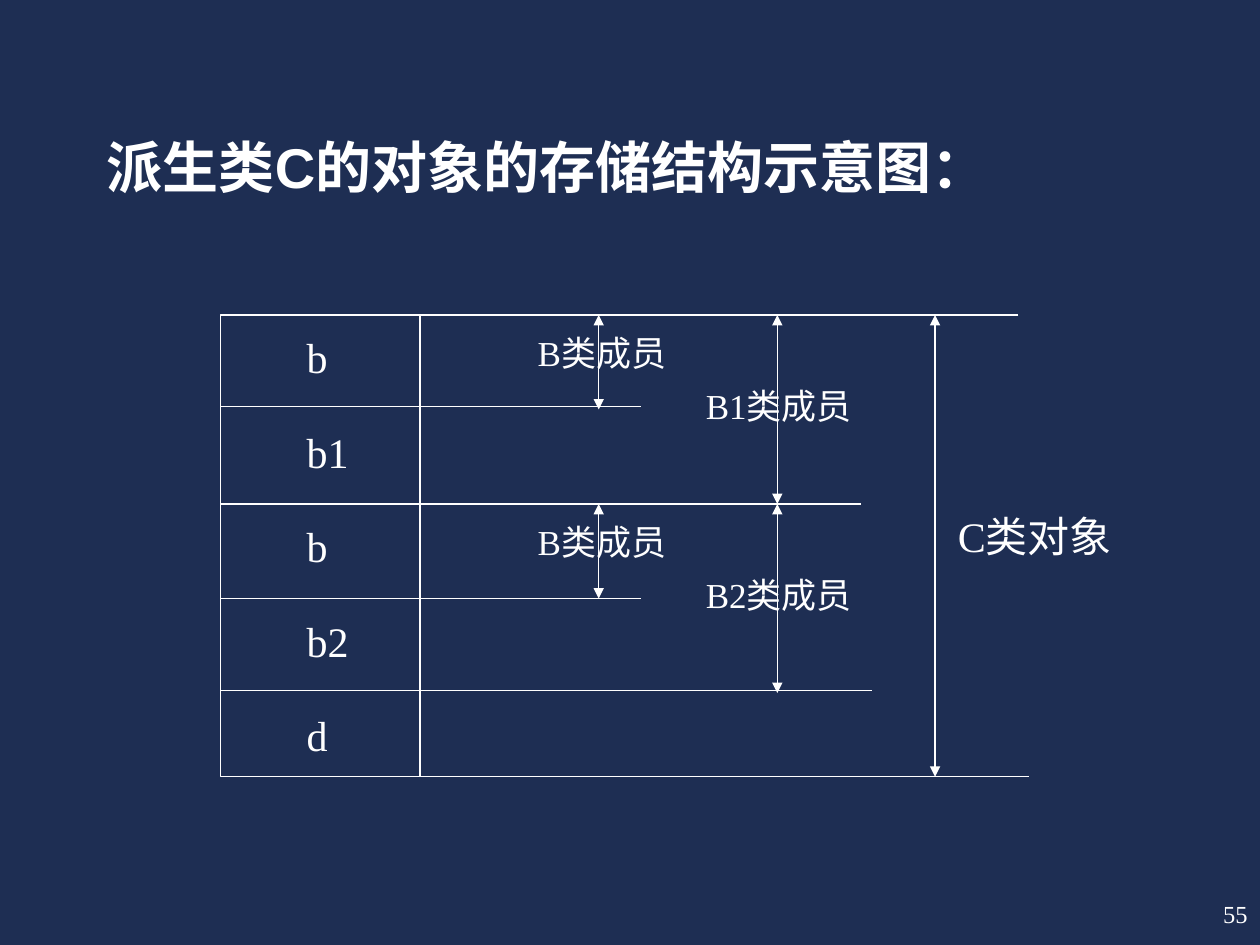
import pptx
import pptx.dml.color
import pptx.enum.shapes
import pptx.enum.text
import pptx.oxml
import pptx.oxml.ns
import pptx.util
from pptx.util import Cm

WHITE = "FFFFFF"
BACKGROUND = "1E2E53"
SERIF = "Times New Roman"


def color(hex_string):
    return pptx.dml.color.RGBColor.from_string(hex_string)


def add_text(slide, text, left, top, width, height, size, font=SERIF, bold=False,
             space_before=0):
    shape = slide.shapes.add_textbox(Cm(left), Cm(top), Cm(width), Cm(height))
    shape.text_frame.word_wrap = True
    shape.text_frame.text = text
    paragraph = shape.text_frame.paragraphs[0]
    paragraph.space_before = pptx.util.Pt(space_before)
    run_font = paragraph.runs[0].font
    run_font.name = font
    run_font.size = pptx.util.Pt(size)
    run_font.bold = bold
    run_font.color.rgb = color(WHITE)
    return shape


def add_line(slide, start_x, start_y, end_x, end_y, arrows=False):
    connector = slide.shapes.add_connector(
        pptx.enum.shapes.MSO_CONNECTOR.STRAIGHT,
        Cm(start_x), Cm(start_y), Cm(end_x), Cm(end_y))
    connector.line.color.rgb = color(WHITE)
    connector.line.width = pptx.util.Pt(0.75)
    if arrows:
        line = connector.line._get_or_add_ln()
        for tag in ("a:headEnd", "a:tailEnd"):
            pptx.oxml.ns.qn(tag)
            end = line.makeelement(pptx.oxml.ns.qn(tag), {"type": "triangle"})
            line.append(end)
    properties = connector._element.spPr
    properties.append(properties.makeelement(pptx.oxml.ns.qn("a:effectLst"), {}))


def add_title(slide, left, top, width, height):
    add_text(slide, "派生类C的对象的存储结构示意图：", left, top, width, height,
             32, "Arial", True, 8)


def add_storage_diagram(slide, left, top, width, height):
    # Frame, open on the right
    builder = slide.shapes.build_freeform(Cm(left + width - 0.22), Cm(top))
    builder.add_line_segments([
        (Cm(left), Cm(top)),
        (Cm(left), Cm(top + height)),
        (Cm(left + width), Cm(top + height)),
    ], close=False)
    frame = builder.convert_to_shape()
    frame.shadow.inherit = False
    frame.fill.background()
    frame.line.color.rgb = color(WHITE)
    frame.line.width = pptx.util.Pt(0.75)

    # Column edge and row separators
    add_line(slide, left + 4.02, top, left + 4.02, top + height)
    for offset, length in ((1.85, 8.47), (3.81, 12.91), (5.71, 8.47), (7.57, 13.12)):
        add_line(slide, left, top + offset, left + length, top + offset)

    # Stored members, one per row
    row_pitch = 1.905
    for row, member in enumerate(("b", "b1", "b", "b2", "d")):
        add_text(slide, member, left + 1.48, top + 0.21 + row * row_pitch,
                 0.85 if len(member) == 1 else 1.48, 1.27, 24, space_before=15)

    # Extent arrows: x, first row, rows covered
    for x, first_row, rows in ((7.62, 0, 1), (7.62, 2, 1), (11.22, 0, 2), (11.22, 2, 2)):
        start = top + first_row * row_pitch
        add_line(slide, left + x, start, left + x, start + rows * row_pitch, arrows=True)
    add_line(slide, left + 14.4, top, left + 14.4, top + height, arrows=True)

    # Extent labels
    for text, x, y, label_width, size in (
            ("B类成员", 6.14, 0.21, 3.81, 20),
            ("B类成员", 6.14, 4.02, 3.81, 20),
            ("B1类成员", 9.53, 1.27, 4.45, 20),
            ("B2类成员", 9.53, 5.08, 4.65, 20),
            ("C类对象", 14.61, 3.81, 3.81, 24)):
        add_text(slide, text, left + x, top + y, label_width, size * 0.053, size,
                 space_before=size * 0.625)


def add_page_number(slide, left, top, width, height):
    shape = add_text(slide, "55", left, top, width, height, 14)
    shape.text_frame.vertical_anchor = pptx.enum.text.MSO_ANCHOR.MIDDLE
    shape.text_frame.paragraphs[0].alignment = pptx.enum.text.PP_ALIGN.RIGHT


def main():
    presentation = pptx.Presentation()
    presentation.slide_width = Cm(25.4)
    presentation.slide_height = Cm(19.05)
    slide = presentation.slides.add_slide(presentation.slide_layouts[6])
    slide.background.fill.solid()
    slide.background.fill.fore_color.rgb = color(BACKGROUND)

    add_title(slide, 1.9, 2.54, 21.59, 2.34)
    add_storage_diagram(slide, 4.45, 6.35, 16.3, 9.31)
    add_page_number(slide, 20.11, 17.78, 5.29, 1.27)
    presentation.save("out.pptx")


if __name__ == "__main__":
    main()
